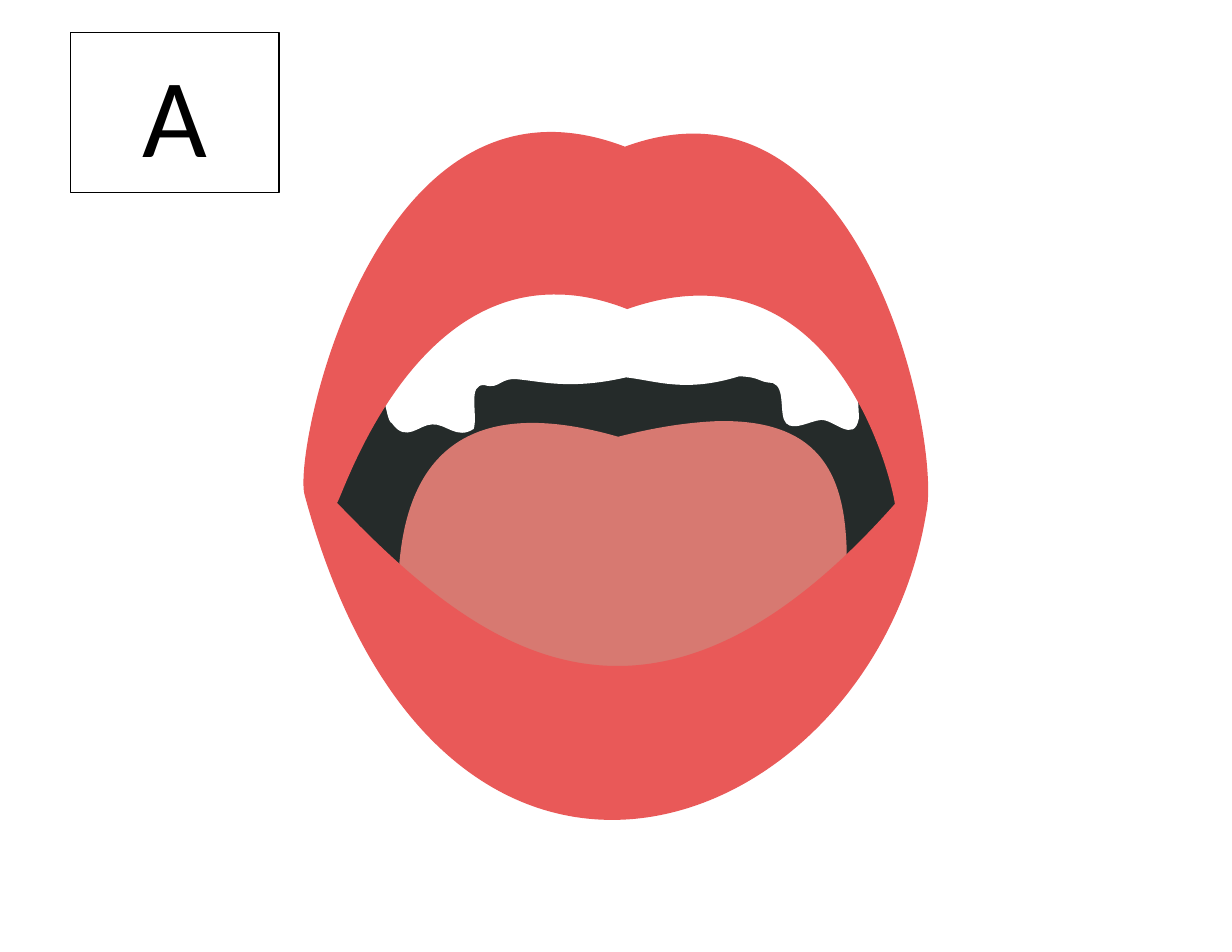
from lxml import etree
from pptx import Presentation
from pptx.dml.color import RGBColor
from pptx.enum.shapes import MSO_SHAPE
from pptx.enum.text import MSO_ANCHOR, PP_ALIGN
from pptx.oxml.ns import qn
from pptx.util import Inches, Pt

COLORS = {
    "white": "FFFFFF",
    "black": "000000",
    "mouth": "252B2A",
    "tongue": "D77971",
    "lips": "E95958",
}

# Drawing area of the mouth outlines: left, top, width, height
ART_BOX = (2.71, 1.18, 5.58, 6.14)

# Fill, bounds and contours of each part, from back to front.
# A contour is a start point, then lines (x, y) and cubic curves (two handles, end).
MOUTH_PARTS = [
    ("mouth", (2.85, 2.33, 5.3, 3.85), [
        [(2.85, 4.49), (2.91, 4.41, 3.69, 1.67, 5.6, 2.48),
         (7.62, 1.73, 8.14, 4.35, 8.15, 4.51), (5.78, 7.41, 4.13, 5.95, 2.85, 4.49)],
    ]),
    ("tongue", (3.55, 3.76, 4.01, 2.59), [
        [(6.41, 3.76), (7.38, 3.74, 7.54, 4.31, 7.56, 4.91), (7.56, 5.18), (7.39, 5.36),
         (5.89, 6.93, 4.71, 6.39, 3.74, 5.43), (3.55, 5.24), (3.56, 5.11),
         (3.61, 4.27, 3.99, 3.46, 5.52, 3.9), (5.87, 3.81, 6.16, 3.77, 6.41, 3.76)],
    ]),
    ("white", (3.44, 2.6, 4.23, 1.27), [  # upper teeth
        [(4.99, 2.6), (5.18, 2.6, 5.39, 2.64, 5.61, 2.73),
         (6.68, 2.36, 7.3, 2.92, 7.64, 3.5), (7.66, 3.54), (7.67, 3.73),
         (7.63, 3.97, 7.44, 3.74, 7.33, 3.75), (7.23, 3.76, 7.09, 3.85, 7.02, 3.78),
         (6.95, 3.71, 7.02, 3.46, 6.9, 3.42), (6.75, 3.41, 6.81, 3.37, 6.6, 3.36),
         (6.12, 3.51, 5.86, 3.4, 5.59, 3.37), (5.11, 3.48, 4.85, 3.41, 4.65, 3.39),
         (4.46, 3.36, 4.47, 3.48, 4.33, 3.44), (4.17, 3.42, 4.27, 3.7, 4.23, 3.83),
         (4.08, 3.93, 3.98, 3.78, 3.86, 3.79), (3.74, 3.79, 3.63, 3.96, 3.5, 3.78),
         (3.48, 3.77, 3.47, 3.74, 3.46, 3.7), (3.44, 3.62), (3.52, 3.5),
         (3.84, 3.04, 4.31, 2.59, 4.99, 2.6)],
    ]),
    ("lips", ART_BOX, [  # outer edge, then the opening
        [(4.99, 1.18), (5.18, 1.19, 5.37, 1.23, 5.58, 1.31),
         (7.73, 0.52, 8.41, 3.97, 8.27, 4.58), (7.8, 7.46, 3.96, 9, 2.72, 4.42),
         (2.62, 4.06, 3.22, 1.1, 4.99, 1.18)],
        [(4.97, 2.63), (3.63, 2.61, 3.06, 4.43, 3.01, 4.49),
         (4.22, 5.75, 5.77, 7.01, 7.99, 4.5), (7.98, 4.37, 7.49, 2.1, 5.6, 2.76),
         (5.37, 2.67, 5.16, 2.63, 4.97, 2.63)],
    ]),
]


def color(name):
    return RGBColor.from_string(COLORS[name])


def style_shape(shape, fill, line=None):
    shape.shadow.inherit = False
    shape.fill.solid()
    shape.fill.fore_color.rgb = color(fill)
    if line is None:
        shape.line.fill.background()
    else:
        shape.line.color.rgb = color(line)


def add_rectangle(slide, box, fill, line, line_width):
    shape = slide.shapes.add_shape(MSO_SHAPE.RECTANGLE, *map(Inches, box))
    style_shape(shape, fill, line)
    shape.line.width = Pt(line_width)
    return shape


def add_path_step(outline, tag, values, place):
    step = etree.SubElement(outline, qn(tag))
    for x, y in zip(values[::2], values[1::2]):
        left, top = place(x, y)
        etree.SubElement(step, qn("a:pt"), x=str(int(left)), y=str(int(top)))


def add_curved_shape(group, bounds, contours, place):
    """Build a freeform over its bounds, then give it curved contours."""
    x, y, width, height = bounds
    left, top = place(x, y)
    right, bottom = place(x + width, y + height)
    builder = group.shapes.build_freeform(left, top)
    builder.add_line_segments([(right, top), (right, bottom), (left, bottom)])
    shape = builder.convert_to_shape()

    def place_inside(point_x, point_y):
        point_left, point_top = place(point_x, point_y)
        return point_left - left, point_top - top

    outline = shape.element.find(".//" + qn("a:path"))
    for child in list(outline):
        outline.remove(child)
    for start, *segments in contours:
        add_path_step(outline, "a:moveTo", start, place_inside)
        for segment in segments:
            tag = "a:lnTo" if len(segment) == 2 else "a:cubicBezTo"
            add_path_step(outline, tag, segment, place_inside)
        etree.SubElement(outline, qn("a:close"))
    return shape


def add_mouth(slide, box):
    left, top, width, height = box
    art_left, art_top, art_width, art_height = ART_BOX

    def place(x, y):
        return (Inches(left + (x - art_left) * width / art_width),
                Inches(top + (y - art_top) * height / art_height))

    group = slide.shapes.add_group_shape()
    for fill, bounds, contours in MOUTH_PARTS:
        style_shape(add_curved_shape(group, bounds, contours, place), fill)


def add_letter_card(slide, box, letter):
    card = add_rectangle(slide, box, "white", "black", 1)
    text_frame = card.text_frame
    text_frame.text = letter
    text_frame.vertical_anchor = MSO_ANCHOR.MIDDLE
    paragraph = text_frame.paragraphs[0]
    paragraph.alignment = PP_ALIGN.CENTER
    font = paragraph.runs[0].font
    font.name = "Calibri"
    font.size = Pt(72)
    font.color.rgb = color("black")


def main():
    presentation = Presentation()
    presentation.slide_width = Inches(11)
    presentation.slide_height = Inches(8.5)
    slide = presentation.slides.add_slide(presentation.slide_layouts[6])

    # White page, mouth, then the letter card
    add_rectangle(slide, (0, 0, 11, 8.5), "white", "white", 1)
    add_mouth(slide, ART_BOX)
    add_letter_card(slide, (0.63, 0.29, 1.86, 1.43), "A")

    presentation.save("out.pptx")


if __name__ == "__main__":
    main()
